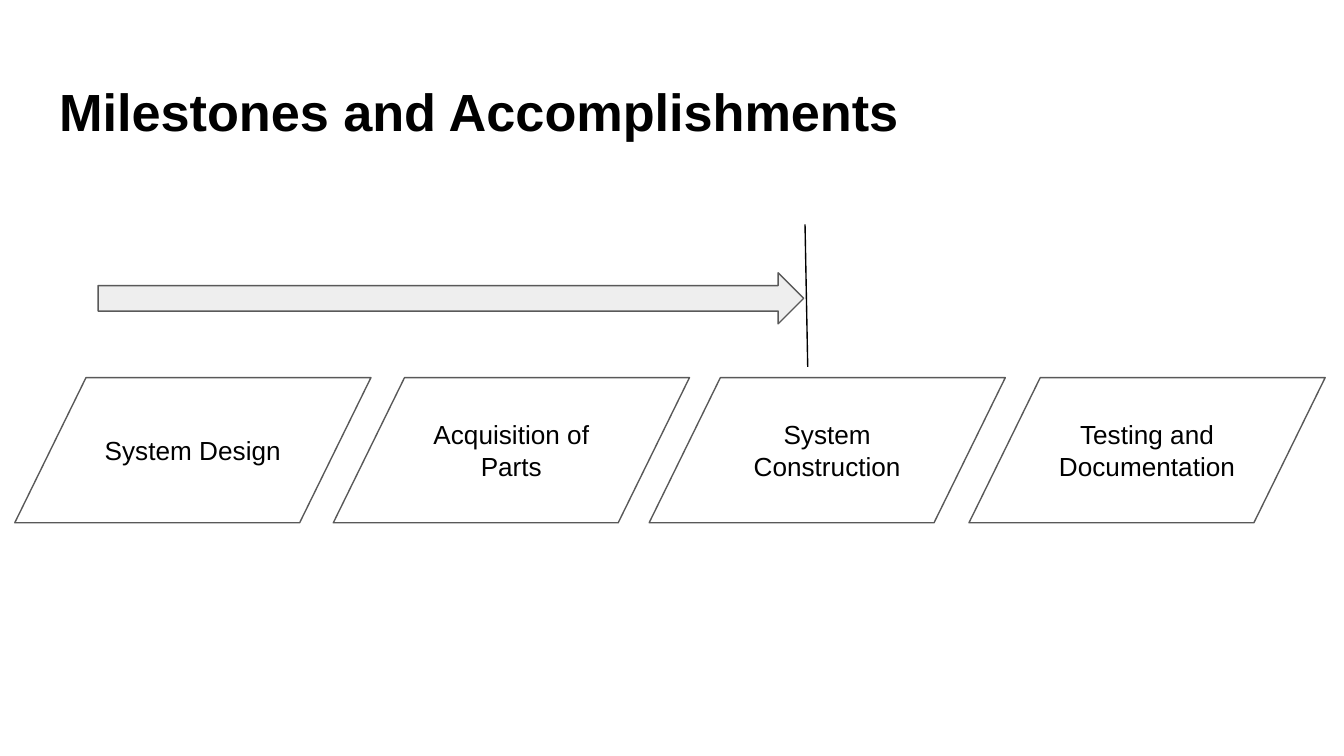
"""Build the project milestones slide with its progress arrow and four phases."""
from lxml import etree
from pptx import Presentation
from pptx.dml.color import RGBColor
from pptx.enum import shapes, text
from pptx.oxml import ns
from pptx.util import Inches, Pt

BLACK = RGBColor(0x00, 0x00, 0x00)
WHITE = RGBColor(0xFF, 0xFF, 0xFF)
OUTLINE = RGBColor(0x59, 0x59, 0x59)
PALE_GREY = RGBColor(0xEE, 0xEE, 0xEE)
MARGINS = ("margin_left", "margin_top", "margin_right", "margin_bottom")


def add_outlined(kind, left, top, width, height, fill):
    shape = slide.shapes.add_shape(
        kind, Inches(left), Inches(top), Inches(width), Inches(height))
    shape.shadow.inherit = False
    shape.fill.solid()
    shape.fill.fore_color.rgb = fill
    shape.line.color.rgb = OUTLINE
    shape.line.width = Pt(0.75)
    return shape


def write(shape, wording, size, bold, align, anchor):
    frame = shape.text_frame
    frame.text = wording
    frame_format = {"word_wrap": True, "vertical_anchor": anchor,
                    "auto_size": text.MSO_AUTO_SIZE.NONE,
                    **dict.fromkeys(MARGINS, Inches(0.1))}
    for name, value in frame_format.items():
        setattr(frame, name, value)
    paragraph = frame.paragraphs[0]
    paragraph.alignment = align
    for name, value in {"name": "Arial", "size": Pt(size), "bold": bold}.items():
        setattr(paragraph.font, name, value)
    paragraph.font.color.rgb = BLACK


presentation = Presentation()
presentation.slide_width = Inches(10)
presentation.slide_height = Inches(10) * 9 // 16
slide = presentation.slides.add_slide(presentation.slide_layouts[5])
slide.background.fill.solid()
slide.background.fill.fore_color.rgb = WHITE

heading = slide.shapes.title
heading_place = {"left": 0.34, "top": 0.49, "width": 9.32, "height": 0.63}
for name, value in heading_place.items():
    setattr(heading, name, Inches(value))
write(heading, "Milestones and Accomplishments", 28, True,
      text.PP_ALIGN.LEFT, text.MSO_ANCHOR.TOP)

phases = {"System Design": 0.11, "Acquisition of Parts": 2.48,
          "System Construction": 4.83, "Testing and Documentation": 7.21}
for phase_name, left in phases.items():
    phase = add_outlined(shapes.MSO_SHAPE.FLOWCHART_DATA,
                         left, 2.81, 2.65, 1.08, WHITE)
    write(phase, phase_name, 14, False,
          text.PP_ALIGN.CENTER, text.MSO_ANCHOR.MIDDLE)

add_outlined(shapes.MSO_SHAPE.RIGHT_ARROW, 0.73, 2.03, 5.25, 0.38, PALE_GREY)

today_mark = slide.shapes.add_connector(
    shapes.MSO_CONNECTOR.STRAIGHT,
    Inches(5.99), Inches(1.67), Inches(6.01), Inches(2.73))
today_mark.line.color.rgb = BLACK
today_mark.line.width = Pt(0.75)
etree.SubElement(today_mark._element.spPr, ns.qn("a:effectLst"))

presentation.save("out.pptx")
